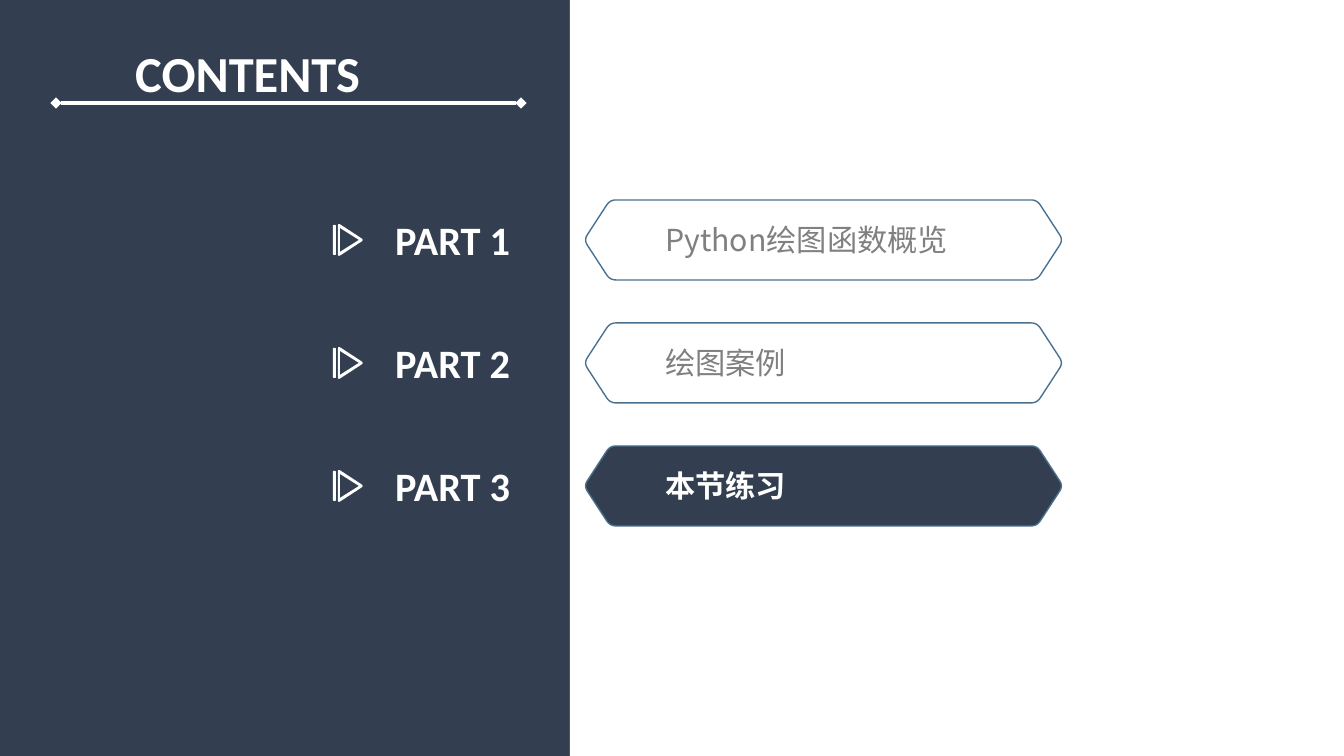
from dataclasses import dataclass

from lxml import etree
from pptx import Presentation
from pptx import util as u
from pptx.dml.color import RGBColor
from pptx.enum import shapes
from pptx.oxml.ns import qn

TITLE = "CONTENTS"
PARTS = [
    ("PART 1", "Python绘图函数概览", False),
    ("PART 2", "绘图案例", False),
    ("PART 3", "本节练习", True),
]


@dataclass(frozen=True)
class Theme:
    navy: str = "333F50"
    white: str = "FFFFFF"
    outline: str = "4A7090"
    gray: str = "808080"
    latin: str = "Calibri"
    chinese: str = "Noto Sans CJK SC"
    title_size: float = 27
    part_size: float = 21.6
    topic_size: float = 16.2
    rule_width: float = 2
    outline_width: float = 0.75


THEME = Theme()
SCALE = 914400 / 134.4
WIDTH, HEIGHT = 1344, 756
PANEL_LEFT = 570
FIRST_TOP, PITCH, BADGE_HEIGHT = 200, 123, 80
BADGE_LEFT, BADGE_RIGHT, BADGE_SLANT = 584, 1063, 26
CORNER_STEPS = 6


def px(value):
    return u.Emu(round(value * SCALE))


def color(value):
    return RGBColor.from_string(value)


def rounded(corners, cut):
    points = []
    for index, (x, y) in enumerate(corners):
        ends = []
        for near_x, near_y in (corners[index - 1], corners[(index + 1) % len(corners)]):
            share = cut / ((near_x - x) ** 2 + (near_y - y) ** 2) ** 0.5
            ends.append((x + (near_x - x) * share, y + (near_y - y) * share))
        (start_x, start_y), (end_x, end_y) = ends
        for step in range(CORNER_STEPS + 1):
            t = step / CORNER_STEPS
            a, b, c = (1 - t) ** 2, 2 * t * (1 - t), t ** 2
            points.append((a * start_x + b * x + c * end_x, a * start_y + b * y + c * end_y))
    return points


def add_outline(slide, contours):
    scaled = [[(px(x), px(y)) for x, y in contour] for contour in contours]
    builder = slide.shapes.build_freeform(*scaled[0][0])
    for index, contour in enumerate(scaled):
        if index:
            builder.move_to(*contour[0])
        builder.add_line_segments(contour[1:], close=True)
    shape = builder.convert_to_shape()
    shape.shadow.inherit = False
    return shape


def fill_solid(shape, value):
    shape.fill.solid()
    shape.fill.fore_color.rgb = color(value)


def add_text(slide, text, box, size, value, font, bold):
    shape = slide.shapes.add_textbox(*map(px, box))
    shape.text_frame.word_wrap = True
    paragraph = shape.text_frame.paragraphs[0]
    paragraph.text = text
    paragraph.font.name = font
    paragraph.font.size = u.Pt(size)
    paragraph.font.bold = bold
    paragraph.font.color.rgb = color(value)
    properties = paragraph._p.pPr.find(qn("a:defRPr"))
    etree.SubElement(properties, qn("a:ea")).set("typeface", font)


def add_rule(slide):
    rule = slide.shapes.add_connector(
        shapes.MSO_CONNECTOR.STRAIGHT, px(56), px(103), px(521), px(103))
    rule.line.color.rgb = color(THEME.white)
    rule.line.width = u.Pt(THEME.rule_width)
    line = rule.line._get_or_add_ln()
    for end in ("a:headEnd", "a:tailEnd"):
        etree.SubElement(line, qn(end)).set("type", "diamond")
    etree.SubElement(rule._element.spPr, qn("a:effectLst"))


def add_badge(slide, top, active):
    middle, bottom = top + BADGE_HEIGHT / 2, top + BADGE_HEIGHT
    inner_left, inner_right = BADGE_LEFT + BADGE_SLANT, BADGE_RIGHT - BADGE_SLANT
    corners = [(inner_left, top), (inner_right, top), (BADGE_RIGHT, middle),
               (inner_right, bottom), (inner_left, bottom), (BADGE_LEFT, middle)]
    badge = add_outline(slide, [rounded(corners, 6)])
    if active:
        fill_solid(badge, THEME.navy)
    else:
        badge.fill.background()
    badge.line.color.rgb = color(THEME.outline)
    badge.line.width = u.Pt(THEME.outline_width)


def add_play_icon(slide, middle):
    triangle = [(338, middle - 17), (364, middle), (338, middle + 17)]
    hole = [(340, middle + 12), (359, middle), (340, middle - 12)]
    bar = [(333, middle - 15), (336, middle - 15), (336, middle + 15), (333, middle + 15)]
    icon = add_outline(slide, [rounded(triangle, 3), hole, rounded(bar, 1)])
    fill_solid(icon, THEME.white)
    icon.line.fill.background()


def main():
    presentation = Presentation()
    presentation.slide_width, presentation.slide_height = px(WIDTH), px(HEIGHT)
    slide = presentation.slides.add_slide(presentation.slide_layouts[6])
    fill_solid(slide.background, THEME.navy)

    panel = slide.shapes.add_shape(
        shapes.MSO_SHAPE.RECTANGLE, px(PANEL_LEFT), 0, px(WIDTH - PANEL_LEFT), px(HEIGHT))
    panel.shadow.inherit = False
    fill_solid(panel, THEME.white)
    panel.line.fill.background()

    add_text(slide, TITLE, (122, 35, 496, 75), THEME.title_size, THEME.white, THEME.latin, True)
    add_rule(slide)

    for index, (part, topic, active) in enumerate(PARTS):
        top = FIRST_TOP + index * PITCH
        add_badge(slide, top, active)
        add_play_icon(slide, top + BADGE_HEIGHT / 2)
        add_text(slide, part, (382, top + 9, 204, 62),
                 THEME.part_size, THEME.white, THEME.latin, True)
        add_text(slide, topic, (652, top + 15, 359, 50), THEME.topic_size,
                 THEME.white if active else THEME.gray, THEME.chinese, active)

    presentation.save("out.pptx")


if __name__ == "__main__":
    main()
